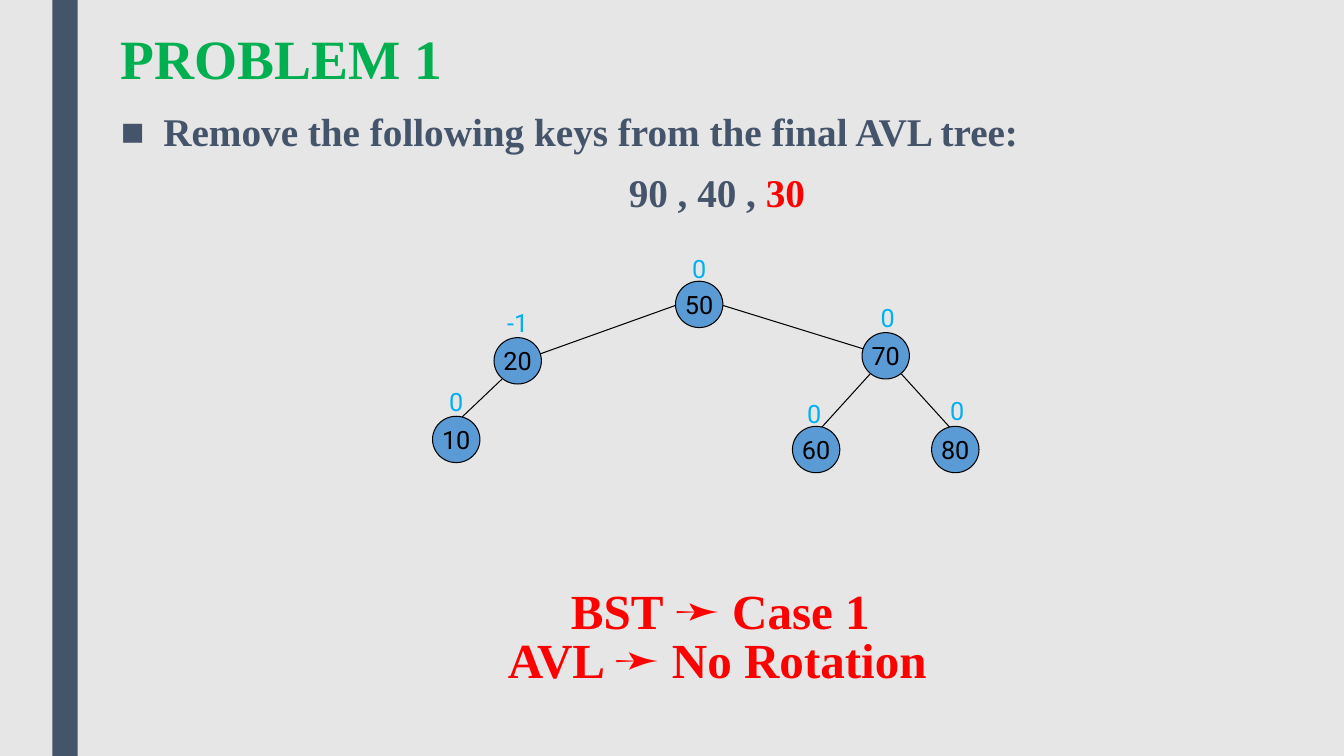
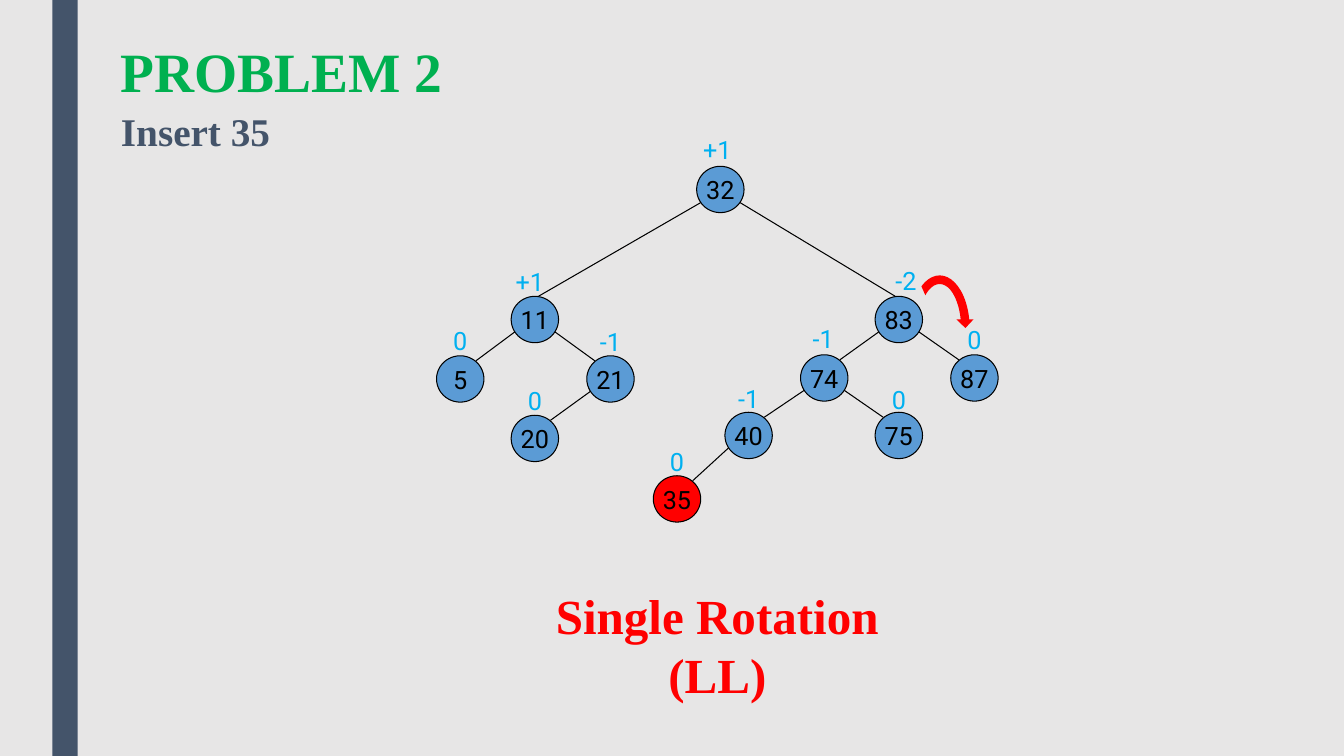
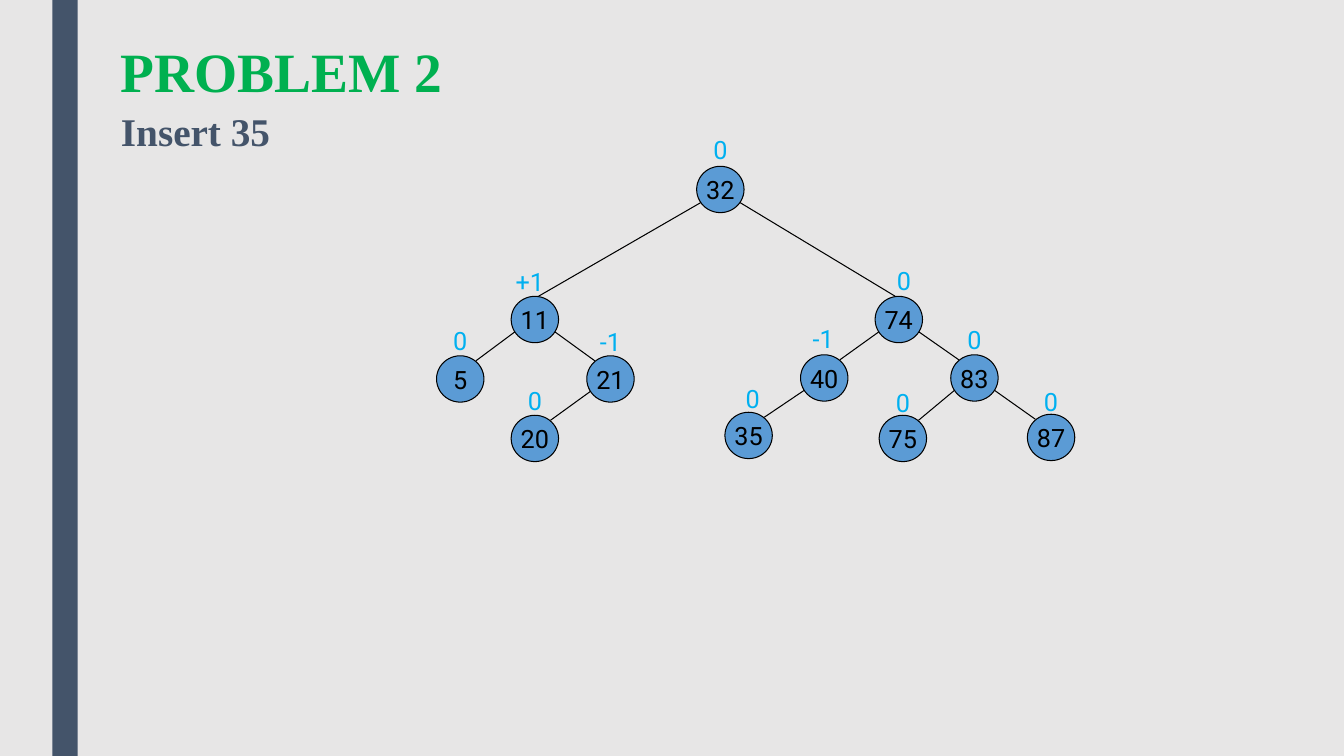
from dataclasses import dataclass

from lxml.etree import SubElement
from pptx import Presentation
from pptx.dml.color import RGBColor
from pptx.enum.shapes import MSO_CONNECTOR, MSO_SHAPE
from pptx.enum.text import MSO_ANCHOR, MSO_AUTO_SIZE, PP_ALIGN
from pptx.oxml.ns import qn
from pptx.util import Inches, Pt


@dataclass(frozen=True)
class Theme:
    background: str = "E7E6E6"
    slate: str = "44546A"
    green: str = "00B050"
    red: str = "FF0000"
    node: str = "5B9BD5"
    ink: str = "000000"
    balance: str = "00B0F0"
    serif: str = "Times New Roman"
    sans: str = "Roboto"
    title_size: float = 39.6
    body_size: float = 28
    verdict_size: float = 35
    tree_size: float = 18
    hairline: float = 0.75


@dataclass(frozen=True)
class Node:
    """A tree node; shift and rise place its balance factor, link names its edge style."""
    key: str
    left: float
    top: float
    balance: str
    parent: str = ""
    shift: float = 0
    rise: float = 0.35
    link: str = "short"
    fill: str = ""


THEME = Theme()
NODE_WIDTH, NODE_HEIGHT = 0.47, 0.46

# Offsets of an edge to a left child: start within the parent, end within the child.
LINKS = {
    "short": ((0.04, 0.35), (0.39, 0.05)),
    "steep": ((0.08, 0.41), (0.28, 0.02)),
    "long": ((0.04, 0.36), (0.27, 0)),
    "wide": ((0, 0.24), (0.46, 0.16)),
}

REMOVAL_TREE = [
    Node("50", 6.7, 2.79, "0", rise=0.33),
    Node("20", 4.9, 3.35, "-1", "50", link="wide"),
    Node("70", 8.55, 3.3, "0", "50", shift=0.02, link="wide"),
    Node("10", 4.29, 4.13, "0", "20", link="steep"),
    Node("60", 7.86, 4.23, "0", "70", shift=-0.02, rise=0.33, link="steep"),
    Node("80", 9.24, 4.23, "0", "70", shift=0.02, rise=0.36, link="steep"),
]

LEFT_SUBTREE = [
    Node("11", 5.07, 2.94, "+1", "32", shift=-0.05, link="long"),
    Node("5", 4.33, 3.53, "0", "11"),
    Node("21", 5.82, 3.53, "-1", "11", rise=0.34),
    Node("20", 5.07, 4.12, "0", "21"),
]

UNBALANCED_TREE = [
    Node("32", 6.91, 1.65, "+1", shift=-0.03, rise=0.37),
    *LEFT_SUBTREE,
    Node("83", 8.68, 2.94, "-2", "32", shift=0.07, rise=0.36, link="long"),
    Node("74", 7.94, 3.52, "-1", "83", shift=-0.01, rise=0.36),
    Node("87", 9.43, 3.52, "0", "83"),
    Node("40", 7.19, 4.09, "-1", "74", rise=0.34),
    Node("75", 8.68, 4.09, "0", "74", rise=0.33),
    Node("35", 6.48, 4.72, "0", "40", rise=0.34, fill=THEME.red),
]

ROTATED_TREE = [
    Node("32", 6.91, 1.65, "0", rise=0.37),
    *LEFT_SUBTREE,
    Node("74", 8.68, 2.94, "0", "32", shift=0.05, rise=0.36, link="long"),
    Node("40", 7.94, 3.52, "-1", "74", shift=-0.01, rise=0.36),
    Node("83", 9.43, 3.52, "0", "74"),
    Node("35", 7.19, 4.09, "0", "40", shift=0.04, rise=0.34),
    Node("75", 8.72, 4.12, "0", "83", rise=0.33),
    Node("87", 10.19, 4.11, "0", "83", rise=0.33),
]


def color(value):
    return RGBColor.from_string(value)


def add_text(paragraph, text, *, font, size, ink, bold=False, align=PP_ALIGN.CENTER):
    paragraph.alignment = align
    run = paragraph.add_run()
    run.text = text
    run.font.name = font
    run.font.size = Pt(size)
    run.font.bold = bold
    run.font.color.rgb = color(ink)


def set_bullet(paragraph, mark="", indent=0):
    """Give the paragraph a hanging bullet, or none when mark is empty."""
    properties = paragraph._p.get_or_add_pPr()
    properties.set("marL", str(Inches(indent)))
    properties.set("indent", str(-Inches(indent)))
    if mark:
        SubElement(properties, qn("a:buChar")).set("char", mark)
    else:
        SubElement(properties, qn("a:buNone"))


def place(shape, left, top, width, height):
    shape.left, shape.top = Inches(left), Inches(top)
    shape.width, shape.height = Inches(width), Inches(height)


class Deck:
    def __init__(self, theme):
        self.theme = theme
        self.deck = Presentation()
        self.deck.slide_width, self.deck.slide_height = Inches(13.33), Inches(7.5)
        self.layout = self.deck.slide_layouts.get_by_name("Title and Content")
        self.slide = None
        fill = self.deck.slide_master.background.fill
        fill.solid()
        fill.fore_color.rgb = color(theme.background)

    def start(self, title, title_top, body_height):
        """Open a slide with its title and an empty body."""
        self.slide = self.deck.slides.add_slide(self.layout)
        if len(self.deck.slides) == 1:
            self.add_master_band()
        heading, self.body = self.slide.placeholders
        place(heading, 1.1, title_top, 10.5, 0.71)
        place(self.body, 1.1, 1.05, 12.02, body_height)
        for holder, anchor in ((heading, MSO_ANCHOR.BOTTOM), (self.body, MSO_ANCHOR.TOP)):
            holder.text_frame.auto_size = MSO_AUTO_SIZE.NONE
            holder.text_frame.vertical_anchor = anchor
        line = heading.text_frame.paragraphs[0]
        line.line_spacing = 0.89
        add_text(line, title, font=self.theme.serif, size=self.theme.title_size,
                 ink=self.theme.green, bold=True, align=PP_ALIGN.LEFT)

    def add_master_band(self):
        band = self.shape(MSO_SHAPE.RECTANGLE, 0.52, 0, 0.25, 7.5, self.theme.slate)
        self.deck.slide_master.shapes._spTree.insert(2, band._element)

    def body_line(self, *parts, align=PP_ALIGN.LEFT, mark="", indent=0):
        """Add a body paragraph from (text, colour) parts."""
        frame = self.body.text_frame
        line = frame.paragraphs[0] if not frame.text else frame.add_paragraph()
        line.line_spacing = 0.94
        line.space_before, line.space_after = Pt(10), Pt(2)
        set_bullet(line, mark, indent)
        for text, ink in parts:
            add_text(line, text, font=self.theme.serif, size=self.theme.body_size,
                     ink=ink, bold=True, align=align)

    def shape(self, preset, left, top, width, height, fill, outlined=False):
        shape = self.slide.shapes.add_shape(
            preset, Inches(left), Inches(top), Inches(width), Inches(height))
        shape.shadow.inherit = False
        shape.fill.solid()
        shape.fill.fore_color.rgb = color(fill)
        if outlined:
            shape.line.color.rgb = color(self.theme.ink)
            shape.line.width = Pt(self.theme.hairline)
        else:
            shape.line.fill.background()
        return shape

    def label(self, text, left, top, width, height, **style):
        box = self.slide.shapes.add_textbox(
            Inches(left), Inches(top), Inches(width), Inches(height))
        box.text_frame.word_wrap = False
        add_text(box.text_frame.paragraphs[0], text, **style)

    def verdict(self, text, top, left=4.87):
        self.label(text, left, top, 4.49, 0.69, font=self.theme.serif,
                   size=self.theme.verdict_size, ink=self.theme.red, bold=True)

    def edge(self, parent, child):
        ends = []
        for node, (across, down) in zip((parent, child), LINKS[child.link]):
            if child.left > parent.left:
                across = NODE_WIDTH - across
            ends += [Inches(node.left + across), Inches(node.top + down)]
        line = self.slide.shapes.add_connector(MSO_CONNECTOR.STRAIGHT, *ends)
        line.line.color.rgb = color(self.theme.ink)
        line.line.width = Pt(self.theme.hairline)
        SubElement(line._element.spPr, qn("a:effectLst"))

    def node(self, node):
        circle = self.shape(MSO_SHAPE.OVAL, node.left, node.top, NODE_WIDTH, NODE_HEIGHT,
                            node.fill or self.theme.node, outlined=True)
        frame = circle.text_frame
        frame.word_wrap = False
        frame.vertical_anchor = MSO_ANCHOR.MIDDLE
        style = dict(font=self.theme.sans, size=self.theme.tree_size)
        add_text(frame.paragraphs[0], node.key, ink=self.theme.ink, **style)
        width = 0.5
        left = node.left + (NODE_WIDTH - width) / 2 + node.shift
        self.label(node.balance, left, node.top - node.rise, width, 0.4,
                   ink=self.theme.balance, **style)

    def tree(self, nodes):
        by_key = {node.key: node for node in nodes}
        for node in nodes:
            if node.parent:
                self.edge(by_key[node.parent], node)
        for node in nodes:
            self.node(node)

    def rotation_arrow(self, left, top, width, height):
        arrow = self.shape(MSO_SHAPE.CIRCULAR_ARROW, left, top, width, height, self.theme.red)
        for index, value in enumerate((0.125, 11.42, 204.58, 147.85, 0.125)):
            arrow.adjustments[index] = value


def main():
    deck = Deck(THEME)

    deck.start("PROBLEM 1", 0.25, 1.18)
    deck.body_line(("Remove the following keys from the final AVL tree:", THEME.slate),
                   mark="■", indent=0.42)
    deck.body_line(("90 , 40 , ", THEME.slate), ("30", THEME.red), align=PP_ALIGN.CENTER)
    deck.tree(REMOVAL_TREE)
    deck.verdict("BST ➛ Case 1", 5.71, left=4.9)
    deck.verdict("AVL ➛ No Rotation", 6.2)

    for nodes in (UNBALANCED_TREE, ROTATED_TREE):
        deck.start("PROBLEM 2", 0.38, 5.78)
        deck.body_line(("Insert 35", THEME.slate))
        deck.tree(nodes)
        if nodes is UNBALANCED_TREE:
            deck.rotation_arrow(8.98, 2.69, 0.68, 1.13)
            deck.verdict("Single Rotation (LL)", 5.76)

    deck.deck.save("out.pptx")


if __name__ == "__main__":
    main()
